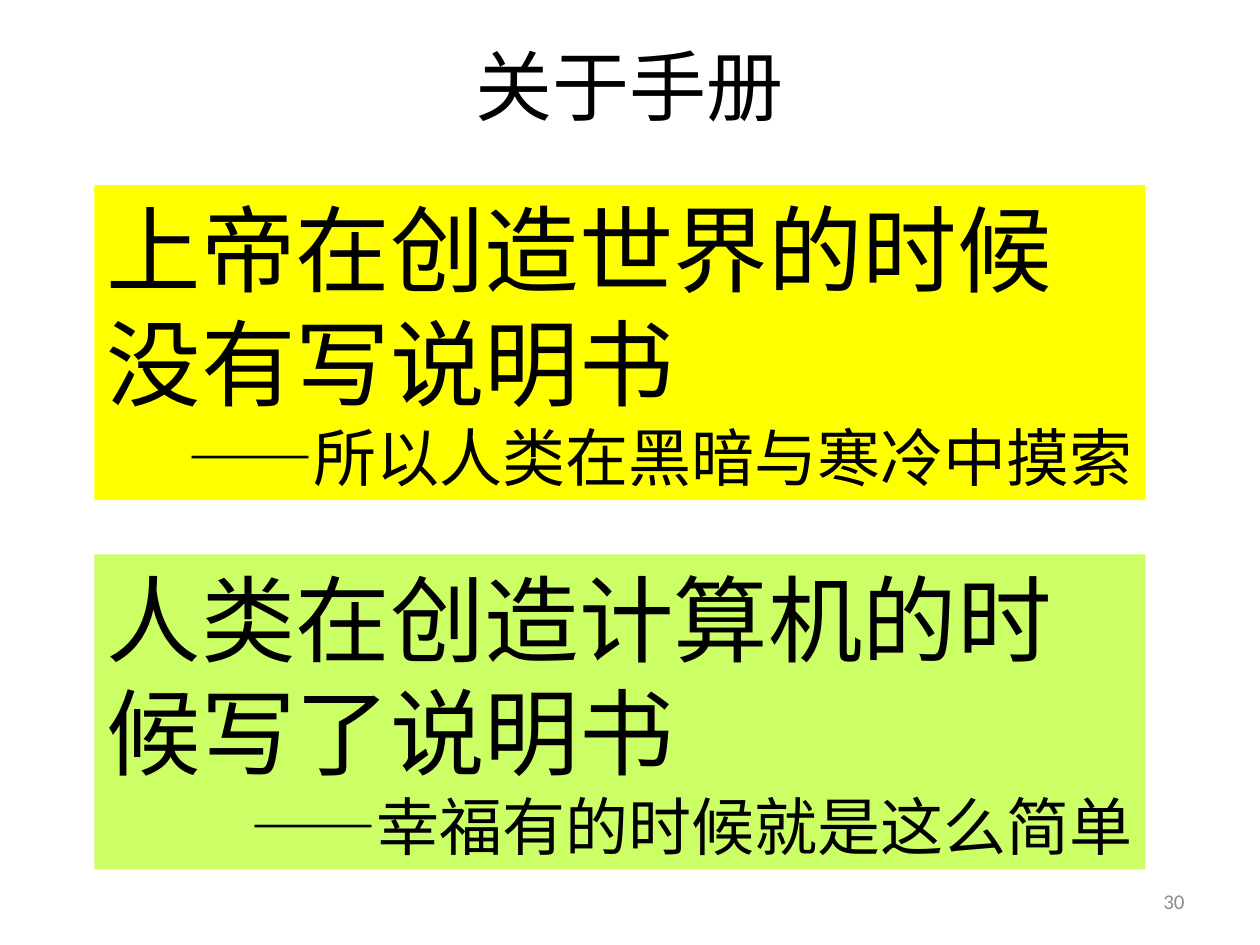
import pptx
import pptx.dml.color
import pptx.enum.shapes
import pptx.enum.text
import pptx.util
from pptx.util import Inches

COLORS = {"text": "000000", "number": "8C8C8C", "god": "FFFF00", "human": "CCFF66"}
ALIGN = pptx.enum.text.PP_ALIGN
ANCHOR = pptx.enum.text.MSO_ANCHOR


class SlideBuilder:
    font_name = "Calibri"

    def __init__(self, slide):
        self.slide = slide

    def color(self, name):
        return pptx.dml.color.RGBColor.from_string(COLORS[name])

    def set_text(self, paragraph, text, size, align, color="text"):
        paragraph.text = text
        paragraph.alignment = align
        paragraph.font.name = self.font_name
        paragraph.font.size = pptx.util.Pt(size)
        paragraph.font.color.rgb = self.color(color)

    def title(self, text, left, top, width, height):
        heading = self.slide.shapes.title
        heading.left, heading.top = Inches(left), Inches(top)
        heading.width, heading.height = Inches(width), Inches(height)
        heading.text_frame.vertical_anchor = ANCHOR.MIDDLE
        self.set_text(heading.text_frame.paragraphs[0], text, 44, ALIGN.CENTER)

    def quote(self, statement, remark, fill, left, top, width, height):
        panel = self.slide.shapes.add_shape(
            pptx.enum.shapes.MSO_SHAPE.RECTANGLE,
            Inches(left), Inches(top), Inches(width), Inches(height))
        panel.shadow.inherit = False
        panel.fill.solid()
        panel.fill.fore_color.rgb = self.color(fill)
        panel.line.fill.background()
        frame = panel.text_frame
        frame.word_wrap = True
        frame.auto_size = pptx.enum.text.MSO_AUTO_SIZE.SHAPE_TO_FIT_TEXT
        frame.vertical_anchor = ANCHOR.TOP
        self.set_text(frame.paragraphs[0], statement, 54, ALIGN.LEFT)
        self.set_text(frame.add_paragraph(), remark, 36, ALIGN.RIGHT)

    def page_number(self, text, left, top, width, height):
        number = self.slide.shapes.add_textbox(
            Inches(left), Inches(top), Inches(width), Inches(height))
        frame = number.text_frame
        frame.word_wrap = True
        frame.vertical_anchor = ANCHOR.MIDDLE
        self.set_text(frame.paragraphs[0], text, 12, ALIGN.RIGHT, "number")


def main():
    deck = pptx.Presentation()
    deck.slide_width, deck.slide_height = Inches(10), Inches(7.5)
    builder = SlideBuilder(deck.slides.add_slide(deck.slide_layouts[5]))
    builder.page_number("30", 7.17, 6.95, 2.33, 0.4)
    builder.title("关于手册", 0.5, 0.05, 9, 1.25)
    quotes = [
        ("上帝在创造世界的时候没有写说明书", "——所以人类在黑暗与寒冷中摸索", "god", 1.47),
        ("人类在创造计算机的时候写了说明书", "——幸福有的时候就是这么简单", "human", 4.4),
    ]
    for statement, remark, fill, top in quotes:
        builder.quote(statement, remark, fill, 0.75, top, 8.34, 2.5)
    deck.save("out.pptx")


if __name__ == "__main__":
    main()
